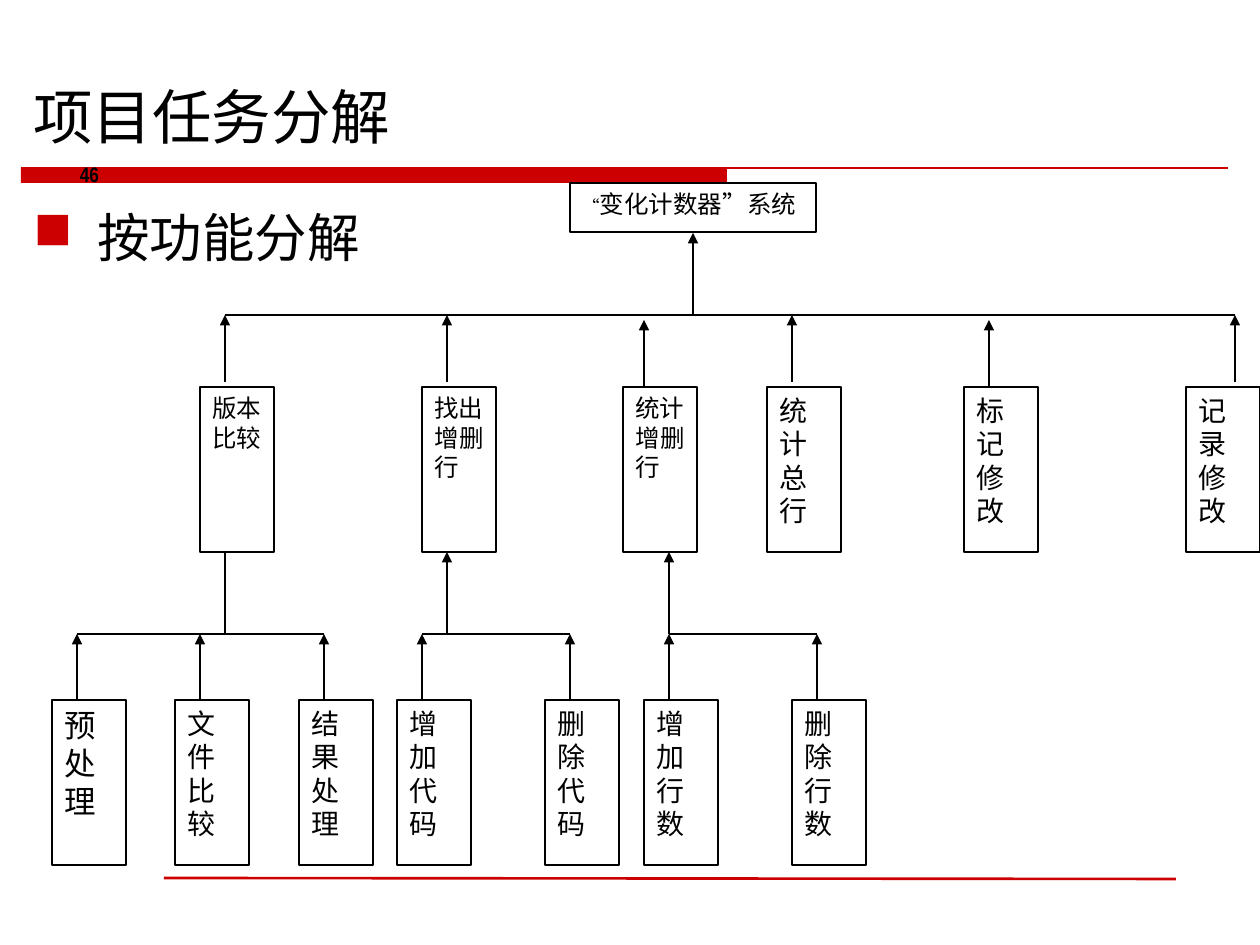
"""Build the slide that breaks the project tasks down by function."""
from lxml import etree
from pptx import Presentation
from pptx.dml.color import RGBColor
from pptx.enum.shapes import MSO_CONNECTOR, MSO_SHAPE
from pptx.enum.text import MSO_ANCHOR, PP_ALIGN
from pptx.oxml.ns import qn
from pptx.util import Pt

BLACK = RGBColor(0x00, 0x00, 0x00)
WHITE = RGBColor(0xFF, 0xFF, 0xFF)
RED = RGBColor(0xCC, 0x00, 0x00)
SANS, SERIF, NARROW = "DejaVu Sans", "Times New Roman", "Arial Narrow"
LEFT, CENTER, JUSTIFY = PP_ALIGN.LEFT, PP_ALIGN.CENTER, PP_ALIGN.JUSTIFY
TOP, MIDDLE, BOTTOM = MSO_ANCHOR.TOP, MSO_ANCHOR.MIDDLE, MSO_ANCHOR.BOTTOM
RECT, STRAIGHT = MSO_SHAPE.RECTANGLE, MSO_CONNECTOR.STRAIGHT

SCALE = 914400 / 126
BOX_W, BOX_H, STEM_DX = 74, 165, 25
BUS_Y, MODULE_Y, SUB_BUS_Y, LEAF_Y = 315, 387, 634, 700
ARROW_H = 67

ROOT = [[("“", 10), ("变化计数器”系统", 14)]]
ROOT_BOX = (570, 183, 246, 49)
ROOT_X = 693

# left, paragraphs, size, arrow x, arrow top
MODULES = [
    (200, ["版本", "比较"], 14, 225, 315),
    (422, ["找出", "增删行"], 14, 447, 315),
    (623, ["统计", "增删行"], 14, 644, 320),
    (767, ["统计总行"], 16, 792, 315),
    (964, ["标记修改"], 16, 989, 320),
    (1186, ["记录", "修改"], 16, 1235, 315),
]

# stem x, stem has arrowhead, leaves as (left, paragraphs, size)
GROUPS = [
    (225, False, [(52, ["预处理"], 18), (175, ["文件比较"], 16), (299, ["结果处理"], 16)]),
    (447, True, [(397, ["增加", "代码"], 16), (545, ["删除代码"], 16)]),
    (669, True, [(644, ["增加", "行数"], 16), (792, ["删除", "行数"], 16)]),
]


def px(n):
    return round(n * SCALE)


def add_line(s, x1, y1, x2, y2, color=BLACK, width=0.75, arrow=False):
    ln = s.shapes.add_connector(STRAIGHT, px(x1), px(y1), px(x2), px(y2))
    ln.line.color.rgb = color
    ln.line.width = Pt(width)
    if arrow:
        etree.SubElement(ln.line._get_or_add_ln(), qn("a:headEnd"), type="triangle")
    etree.SubElement(ln._element.spPr, qn("a:effectLst"))


def add_rect(s, box, fill, line=None):
    sp = s.shapes.add_shape(RECT, *map(px, box))
    sp.shadow.inherit = False
    sp.fill.solid()
    sp.fill.fore_color.rgb = fill
    if line is None:
        sp.line.fill.background()
    else:
        sp.line.color.rgb = line
        sp.line.width = Pt(0.75)
    return sp


def add_bullet(p, char, color, indent):
    pPr = p._p.get_or_add_pPr()
    pPr.set("marL", str(px(indent)))
    pPr.set("indent", str(-px(indent)))
    clr = etree.SubElement(pPr, qn("a:buClr"))
    etree.SubElement(clr, qn("a:srgbClr"), val=str(color))
    etree.SubElement(pPr, qn("a:buChar"), char=char)


def put_text(sp, paras, size=16, font=SERIF, bold=False, align=JUSTIFY,
             anchor=TOP, spacing=None, bullet=None):
    tf = sp.text_frame
    tf.word_wrap = True
    tf.vertical_anchor = anchor
    for i, para in enumerate(paras):
        p = tf.add_paragraph() if i else tf.paragraphs[0]
        p.alignment = align
        if spacing:
            p.line_spacing = spacing
        if bullet:
            add_bullet(p, bullet, RED, 64)
        for text, pts in [(para, size)] if isinstance(para, str) else para:
            r = p.add_run()
            r.text = text
            r.font.name = font
            r.font.size = Pt(pts)
            r.font.bold = bold
            r.font.color.rgb = BLACK


def add_text(s, box, text, **fmt):
    put_text(s.shapes.add_textbox(*map(px, box)), [text], **fmt)


def add_box(s, box, paras, size=16):
    put_text(add_rect(s, box, WHITE, BLACK), paras, size=size)


def main():
    prs = Presentation()
    prs.slide_width, prs.slide_height = px(1260), px(945)
    s = prs.slides.add_slide(prs.slide_layouts[6])

    add_rect(s, (21, 168, 706, 15), RED)
    add_line(s, 21, 168, 1228, 168, color=RED)
    add_line(s, 164, 878, 1176, 879, color=RED, width=1.5)
    add_text(s, (21, 76, 1207, 82), "项目任务分解", size=34, font=SANS,
             align=LEFT, anchor=BOTTOM)
    add_text(s, (21, 199, 1207, 653), "按功能分解", size=30, font=SANS,
             align=LEFT, bullet="■")
    add_text(s, (53, 159, 73, 34), "46", size=12, font=NARROW, bold=True,
             align=CENTER, anchor=MIDDLE, spacing=0.8)

    add_box(s, ROOT_BOX, ROOT)
    add_line(s, ROOT_X, 233, ROOT_X, BUS_Y, arrow=True)
    add_line(s, MODULES[0][3], BUS_Y, MODULES[-1][3], BUS_Y)
    for left, paras, size, x, top in MODULES:
        add_line(s, x, top, x, top + ARROW_H, arrow=True)
        add_box(s, (left, MODULE_Y, BOX_W, BOX_H), paras, size)

    for stem_x, arrow, leaves in GROUPS:
        add_line(s, stem_x, MODULE_Y + BOX_H, stem_x, SUB_BUS_Y, arrow=arrow)
        add_line(s, leaves[0][0] + STEM_DX, SUB_BUS_Y,
                 leaves[-1][0] + STEM_DX, SUB_BUS_Y)
        for left, paras, size in leaves:
            x = left + STEM_DX
            add_line(s, x, SUB_BUS_Y, x, LEAF_Y, arrow=True)
            add_box(s, (left, LEAF_Y, BOX_W, BOX_H), paras, size)

    prs.save("out.pptx")


if __name__ == "__main__":
    main()
